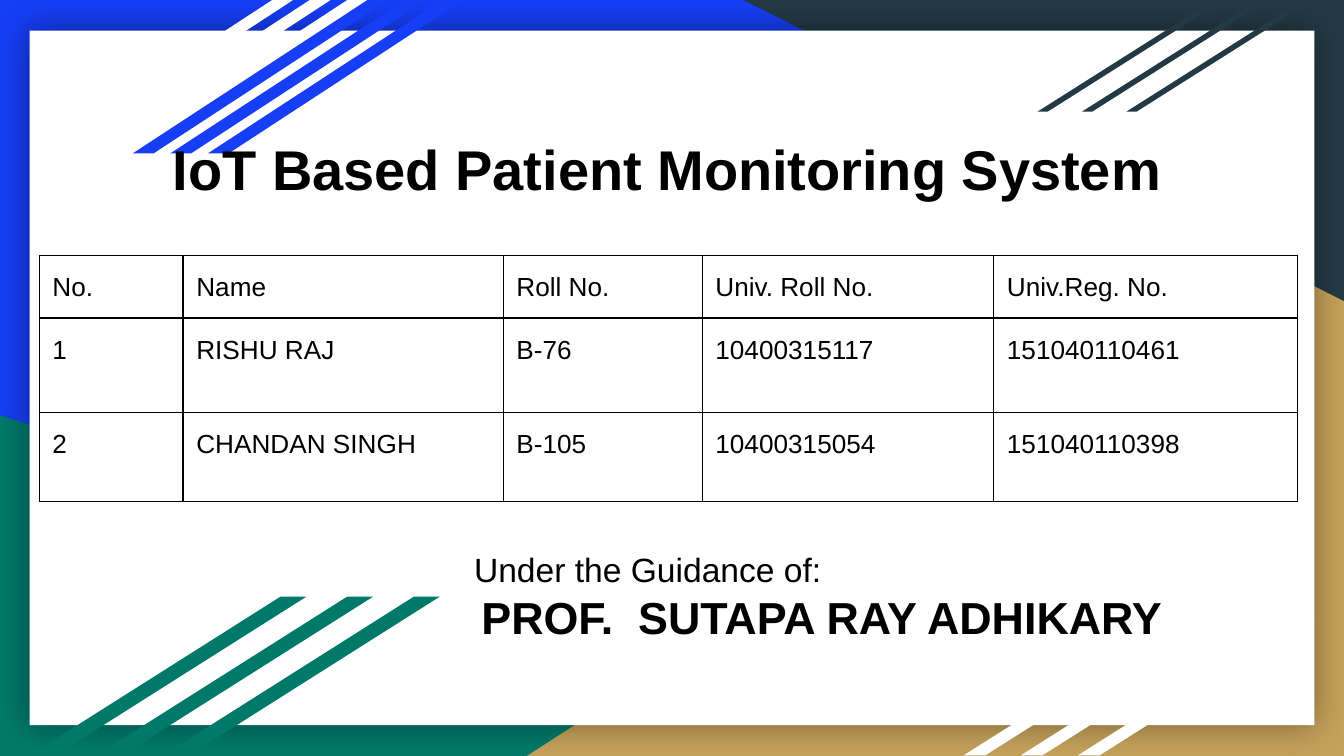
from pptx import Presentation
from pptx.dml.color import RGBColor
from pptx.enum.shapes import MSO_SHAPE as Preset
from pptx.enum.text import MSO_ANCHOR as Anchor, PP_ALIGN as Align
from pptx.oxml import parse_xml
from pptx.oxml.ns import nsdecls
from pptx.util import Cm, Pt

BLUE, GREEN, TAN, SLATE = "163EF5", "00796B", "C4A15A", "233A44"
WHITE, BLACK = "FFFFFF", "000000"


def color(code):
    return RGBColor.from_string(code)


class SlideBuilder:
    font = "Arial"
    inset = Cm(0.25)

    def __init__(self, page):
        self.page = page

    def background(self, fill):
        self.page.background.fill.solid()
        self.page.background.fill.fore_color.rgb = color(fill)

    def shape(self, preset, left, top, width, height, fill):
        shape = self.page.shapes.add_shape(
            preset, Cm(left), Cm(top), Cm(width), Cm(height))
        shape.shadow.inherit = False
        shape.fill.solid()
        shape.fill.fore_color.rgb = color(fill)
        shape.line.fill.background()
        return shape

    def corner(self, left, top, width, height, fill, rotation=0, mirrored=False):
        triangle = self.shape(Preset.RIGHT_TRIANGLE, left, top, width, height, fill)
        triangle.rotation = rotation
        if mirrored:
            triangle.element.spPr.xfrm.set("flipH", "1")

    def card(self, left, top, width, height):
        card = self.shape(Preset.RECTANGLE, left, top, width, height, WHITE)
        effects = card.element.spPr.find("{*}effectLst")
        effects.append(parse_xml(
            f'<a:outerShdw {nsdecls("a")} blurRad="{Pt(18)}" dist="0" dir="0" '
            f'algn="ctr" rotWithShape="0"><a:srgbClr val="{BLACK}">'
            '<a:alpha val="40000"/></a:srgbClr></a:outerShdw>'))

    def stripes(self, left, top, width, height, step, lean, fill):
        for i in reversed(range(3)):
            stripe = self.shape(Preset.PARALLELOGRAM, left + i * step, top,
                                width, height, fill)
            stripe.adjustments[0] = lean

    def style(self, para, size, bold=False):
        for span in para.runs:
            span.font.name = self.font
            span.font.size = Pt(size)
            span.font.bold = bold
            span.font.color.rgb = color(BLACK)

    def text(self, left, top, width, height, lines, align=Align.LEFT, anchor=Anchor.TOP):
        """Each line is (text, size, bold, left indent in cm)."""
        box = self.page.shapes.add_textbox(Cm(left), Cm(top), Cm(width), Cm(height))
        frame = box.text_frame
        frame.word_wrap = True
        frame.vertical_anchor = anchor
        frame.margin_left = frame.margin_right = self.inset
        frame.text = "\n".join(line[0] for line in lines)
        for para, (_, size, bold, indent) in zip(frame.paragraphs, lines):
            para.alignment = align
            if indent:
                para._p.get_or_add_pPr().set("marL", str(Cm(indent)))
            self.style(para, size, bold)

    def border(self, cell):
        properties = cell._tc.get_or_add_tcPr()
        for i, side in enumerate(("lnL", "lnR", "lnT", "lnB")):
            properties.insert(i, parse_xml(
                f'<a:{side} {nsdecls("a")} w="{Pt(0.75)}"><a:solidFill>'
                f'<a:srgbClr val="{BLACK}"/></a:solidFill></a:{side}>'))

    def table(self, left, top, widths, heights, rows, size):
        table = self.page.shapes.add_table(
            len(heights), len(widths), Cm(left), Cm(top),
            Cm(sum(widths)), Cm(sum(heights))).table
        for column, width in zip(table.columns, widths):
            column.width = Cm(width)
        for row, height, values in zip(table.rows, heights, rows):
            row.height = Cm(height)
            for cell, value in zip(row.cells, values):
                cell.margin_left = cell.margin_right = self.inset
                cell.margin_top = cell.margin_bottom = self.inset
                cell.fill.background()
                self.border(cell)
                para = cell.text_frame.paragraphs[0]
                para.text = value
                para.line_spacing = 1.15
                self.style(para, size)


def main():
    deck = Presentation()
    deck.slide_width, deck.slide_height = Cm(25.4), Cm(14.29)
    slide = SlideBuilder(deck.slides.add_slide(deck.slide_layouts[6]))

    # Coloured corners behind the white card
    slide.background(BLUE)
    slide.corner(0, 7.85, 20.47, 6.44, GREEN)
    slide.corner(9.96, 4.32, 15.44, 9.97, TAN, mirrored=True)
    slide.corner(14.05, 0, 11.35, 5.69, SLATE, rotation=180)
    slide.card(0.56, 0.58, 24.28, 13.13)

    # Slanted stripes in groups of three
    slide.stripes(0.71, 0, 4.83, 2.9, 0.71, 1.53, WHITE)
    slide.stripes(2.51, 0, 4.83, 2.9, 0.71, 1.53, BLUE)
    slide.stripes(19.61, 0.03, 3.48, 2.08, 0.84, 1.58, SLATE)
    slide.stripes(18.21, 11.71, 4.47, 2.57, 1.08, 1.58, WHITE)
    slide.stripes(0.56, 11.28, 5.23, 3, 1.26, 1.58, GREEN)

    # Title
    slide.text(1.12, 1.98, 22.99, 2.39,
               [("IoT Based Patient Monitoring System", 30, True, 0)],
               Align.CENTER, Anchor.MIDDLE)

    # Students
    slide.table(0.74, 4.83, (2.72, 6.05, 3.76, 5.51, 5.74), (1.15, 1.78, 1.68), (
        ("No.", "Name", "Roll No.", "Univ. Roll No.", "Univ.Reg. No."),
        ("1", "RISHU RAJ", "B-76", "10400315117", "151040110461"),
        ("2", "CHANDAN SINGH", "B-105", "10400315054", "151040110398"),
    ), 14)

    # Guide
    slide.text(8.71, 10.26, 15.77, 2.06, [
        ("Under the Guidance of:", 18, False, 0),
        ("PROF.  SUTAPA RAY ADHIKARY", 24, True, 0.14),
    ])

    deck.save("out.pptx")


if __name__ == "__main__":
    main()
